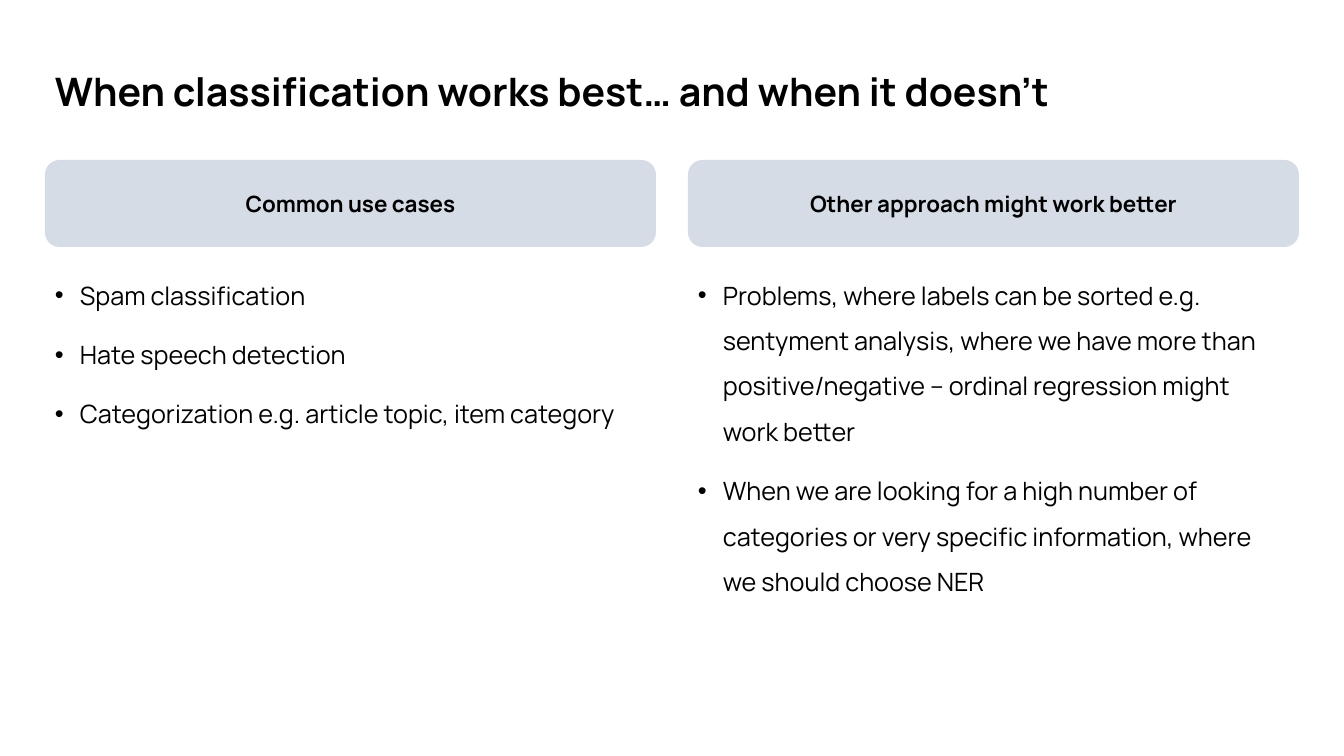
import pptx
import pptx.util
import pptx.dml.color
import pptx.enum.shapes
import pptx.enum.text
import pptx.oxml.ns
import lxml.etree

# Content
TITLE = "When classification works best… and when it doesn’t"
COLUMNS = [
    ("Common use cases", [
        "Spam classification",
        "Hate speech detection",
        "Categorization e.g. article topic, item category",
    ]),
    ("Other approach might work better", [
        "Problems, where labels can be sorted e.g. sentyment analysis, where we "
        "have more than positive/negative – ordinal regression might work better",
        "When we are looking for a high number of categories or very specific "
        "information, where we should choose NER",
    ]),
]

# Theme and layout, lengths in px
THEME = {"font": "Manrope", "ink": "000000", "panel": "D6DCE5",
         "title": 28, "head": 16, "body": 18}
SCALE = 914400 / 100.8
PAGE = (1344, 756)
LEFT, WIDTH, GAP = 45, 611, 32
TITLE_ROW, HEAD_ROW, LIST_ROW = (62, 57), (160, 87), (260, 384)
INDENT = 25

ALIGN = pptx.enum.text.PP_ALIGN
ANCHOR = pptx.enum.text.MSO_ANCHOR


def emu(px):
    return pptx.util.Emu(round(px * SCALE))


def color(name):
    return pptx.dml.color.RGBColor.from_string(THEME[name])


def box(left, row, width):
    return [emu(n) for n in (left, row[0], width, row[1])]


def assign(target, values):
    for name, value in values.items():
        setattr(target, name, value)


def write(shape, lines, size, bold=False, anchor=ANCHOR.TOP, **style):
    frame = shape.text_frame
    assign(frame, {"word_wrap": True, "vertical_anchor": anchor})
    frame.text = "\n".join(lines)
    for para in frame.paragraphs:
        assign(para, style)
        font = para.runs[0].font
        assign(font, {"name": THEME["font"], "bold": bold,
                      "size": pptx.util.Pt(THEME[size])})
        font.color.rgb = color("ink")


def bullet(para):
    props = para._p.get_or_add_pPr()
    props.set("marL", str(emu(INDENT)))
    props.set("indent", str(-emu(INDENT)))
    for tag, key, value in (("a:buFont", "typeface", "Arial"),
                            ("a:buChar", "char", "•")):
        mark = lxml.etree.SubElement(props, pptx.oxml.ns.qn(tag))
        mark.set(key, value)


def main():
    deck = pptx.Presentation()
    assign(deck, {"slide_width": emu(PAGE[0]), "slide_height": emu(PAGE[1])})
    shapes = deck.slides.add_slide(deck.slide_layouts[6]).shapes

    # Title across both columns
    title = shapes.add_textbox(*box(LEFT, TITLE_ROW, 2 * WIDTH + GAP))
    write(title, [TITLE], "title", bold=True)

    for col, (label, points) in enumerate(COLUMNS):
        left = LEFT + col * (WIDTH + GAP)

        # Column heading
        head = shapes.add_shape(pptx.enum.shapes.MSO_SHAPE.ROUNDED_RECTANGLE,
                                *box(left, HEAD_ROW, WIDTH))
        head.shadow.inherit = False
        head.fill.solid()
        head.fill.fore_color.rgb = color("panel")
        head.line.fill.background()
        write(head, [label], "head", bold=True, anchor=ANCHOR.MIDDLE,
              alignment=ALIGN.CENTER)

        # Bulleted points
        body = shapes.add_textbox(*box(left, LIST_ROW, WIDTH))
        write(body, points, "body", line_spacing=1.5,
              space_before=pptx.util.Pt(10))
        for para in body.text_frame.paragraphs:
            bullet(para)

    deck.save("out.pptx")


if __name__ == "__main__":
    main()
